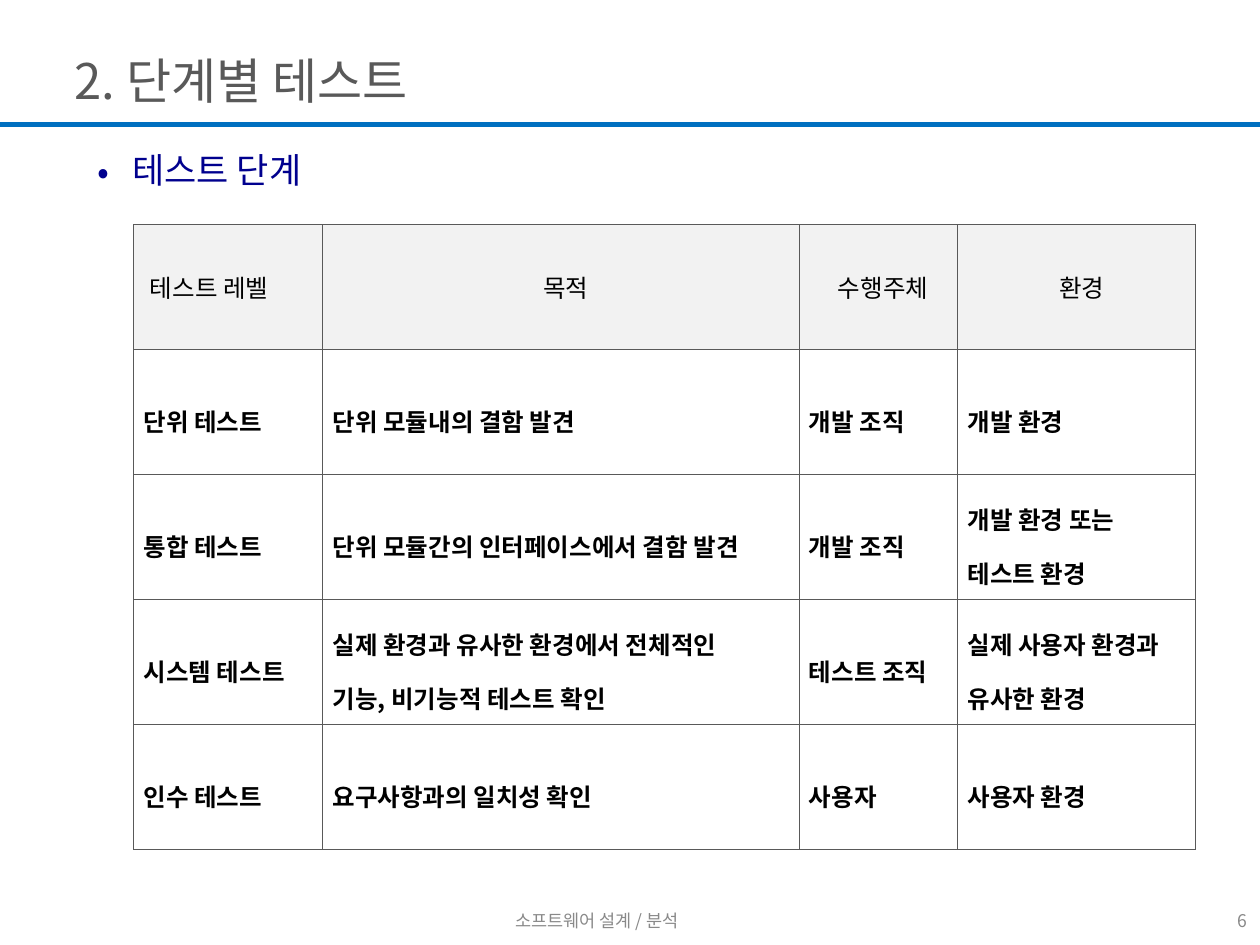
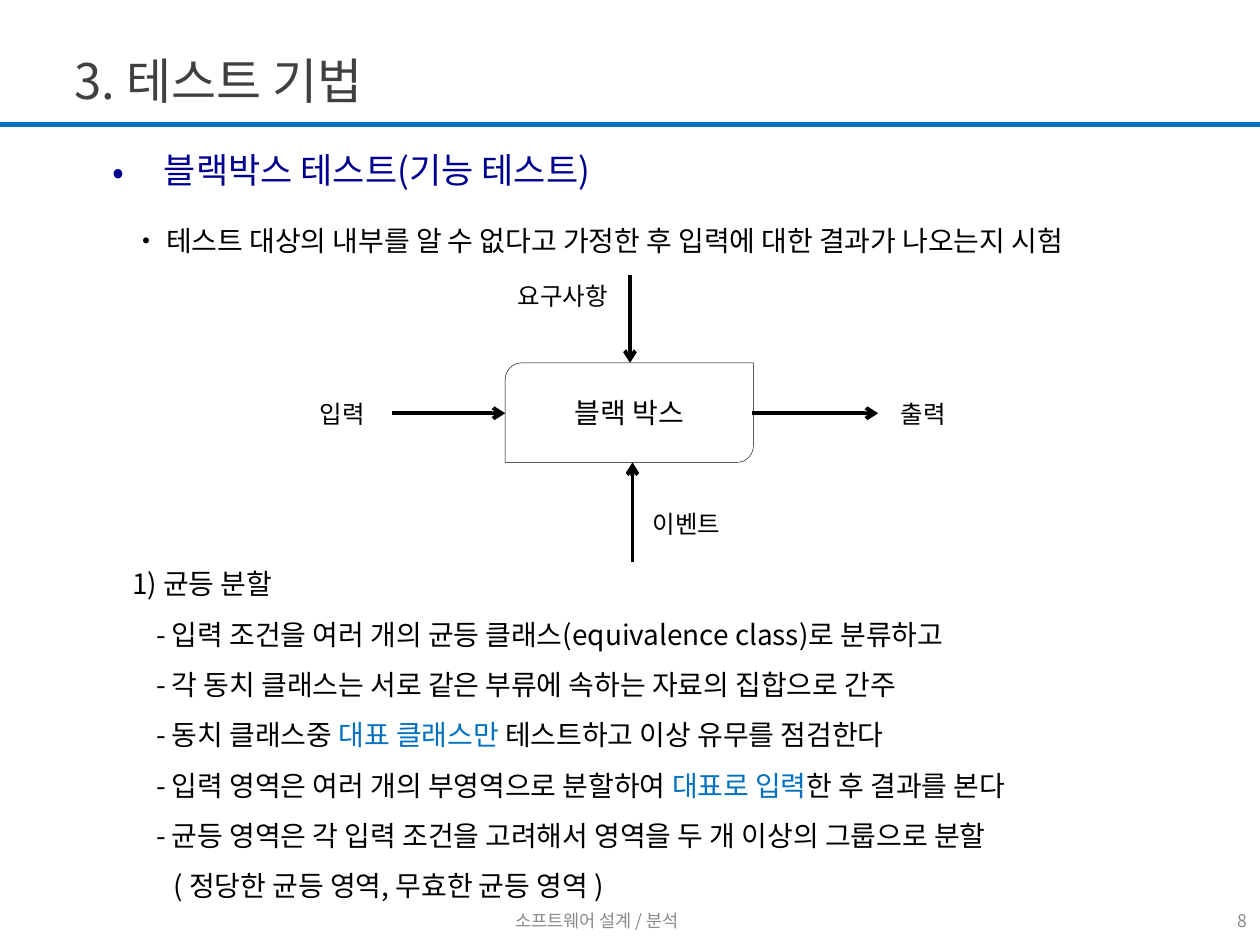
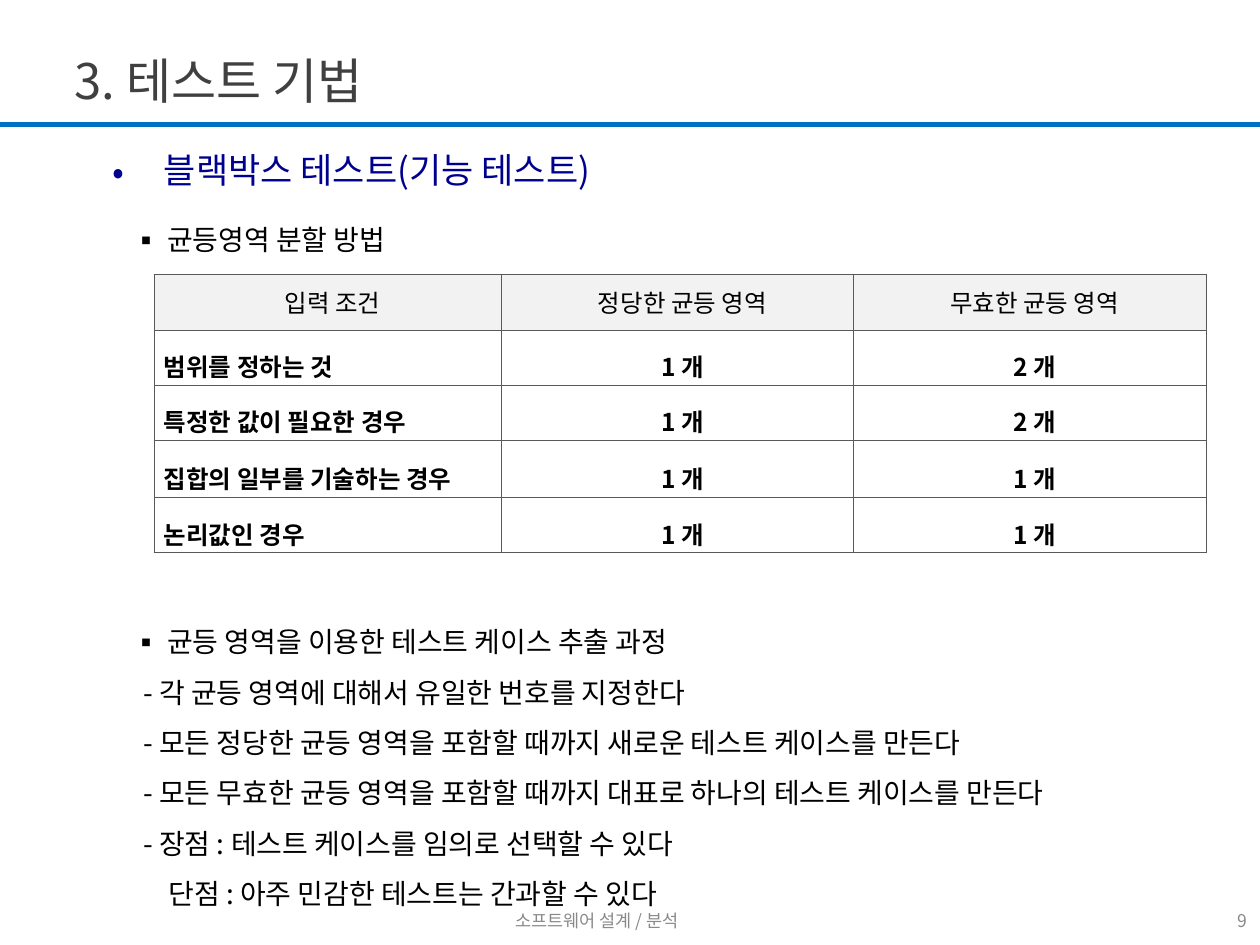
from dataclasses import dataclass
from pptx import Presentation
from pptx.dml.color import RGBColor
from pptx.enum.shapes import MSO_CONNECTOR, MSO_SHAPE
from pptx.enum.text import MSO_ANCHOR, MSO_AUTO_SIZE, PP_ALIGN
from pptx.oxml import parse_xml
from pptx.oxml.ns import nsdecls, qn
from pptx.util import Inches, Pt
from lxml.etree import SubElement


@dataclass(frozen=True)
class Theme:
    font: str = "Noto Sans CJK KR"
    ink: str = "000000"
    navy: str = "00008E"
    blue: str = "0070C0"
    slate: str = "595959"
    dark: str = "404040"
    mute: str = "898989"
    pale: str = "F2F2F2"
    title: int = 28
    head: int = 20
    text: int = 16
    cell: int = 14
    foot: int = 10


T = Theme()
COLS, ROWS = 100, 75          # grid of the slide
UNIT = Inches(10) / COLS
FOOT_ROW = 71.7
LEFT, MID, RIGHT = PP_ALIGN.LEFT, PP_ALIGN.CENTER, PP_ALIGN.RIGHT


def grid(*nums):
    """Grid columns or rows to lengths."""
    return [round(n * UNIT) for n in nums]


def rgb(code):
    return RGBColor.from_string(code)


# Text

def write(par, text, size, color=T.ink, bold=False):
    run = par.add_run()
    run.text = text
    font = run.font
    font.size, font.name, font.bold = Pt(size), T.font, bold
    font.color.rgb = rgb(color)
    SubElement(font._element, qn("a:ea")).set("typeface", T.font)


def inset(par, left, hang=0, mark=None):
    """Left margin and hanging indent in grid columns, with a bullet."""
    prop = par._p.get_or_add_pPr()
    left, hang = grid(left, hang)
    prop.set("marL", str(left))
    prop.set("indent", str(-hang))
    if mark:
        SubElement(prop, qn("a:buFont")).set("typeface", T.font)
        SubElement(prop, qn("a:buChar")).set("char", mark)
    else:
        SubElement(prop, qn("a:buNone"))


def label(slide, text, spot, size=T.cell, color=T.ink, align=LEFT, wrap=False):
    frame = slide.shapes.add_textbox(*grid(*spot)).text_frame
    frame.word_wrap = wrap
    par = frame.paragraphs[0]
    par.alignment = align
    write(par, text, size, color)
    return frame


def notes(slide, spot, lines):
    """A list of (left, hang, mark, gap before, runs), 1.5 lines apart."""
    frame = slide.shapes.add_textbox(*grid(*spot)).text_frame
    frame.word_wrap = True
    frame.vertical_anchor = MSO_ANCHOR.MIDDLE
    for i, (left, hang, mark, gap, runs) in enumerate(lines):
        par = frame.add_paragraph() if i else frame.paragraphs[0]
        par.line_spacing = 1.5
        par.space_before = Pt(gap)
        inset(par, left, hang, mark)
        for text, color in runs:
            write(par, text, T.text, color)


def line(left, *texts, hang=0, mark=None, gap=0):
    """One list line; every second text is stressed."""
    runs = [(t, T.blue if i % 2 else T.ink) for i, t in enumerate(texts)]
    return left, hang, mark, gap, runs


# Placeholders

def fill(holder, spot, anchor):
    holder.left, holder.top, holder.width, holder.height = grid(*spot)
    frame = holder.text_frame
    frame.word_wrap = True
    frame.auto_size = MSO_AUTO_SIZE.NONE
    frame.vertical_anchor = anchor
    par = frame.paragraphs[0]
    par.alignment = LEFT
    par.space_before = Pt(0)
    return par


def page(deck, number, title, color, head, left, hang):
    slide = deck.slides.add_slide(deck.slide_layouts[1])
    par = fill(slide.shapes.title, (4.9, 2.4, 90, 7.9), MSO_ANCHOR.MIDDLE)
    write(par, title, T.title, color)
    par = fill(slide.placeholders[1], (6.7, 11.3, 82.4, 5.5), MSO_ANCHOR.TOP)
    inset(par, left, hang, "•")
    write(par, head, T.head, T.navy)
    label(slide, str(number), (90, FOOT_ROW, 10, 3), T.foot, T.mute, RIGHT, True)
    return slide


# Lines and shapes

def rule(slide, ends, width, color=T.ink, head=False):
    link = slide.shapes.add_connector(MSO_CONNECTOR.STRAIGHT, *grid(*ends))
    link.line.width = Pt(width)
    link.line.color.rgb = rgb(color)
    if head:
        SubElement(link.line._get_or_add_ln(), qn("a:tailEnd")).set("type", "arrow")
    SubElement(link.element.spPr, qn("a:effectLst"))
    return link


def block(slide, text, spot):
    box = slide.shapes.add_shape(MSO_SHAPE.ROUND_2_DIAG_RECTANGLE, *grid(*spot))
    box.shadow.inherit = False
    box.fill.background()
    box.line.color.rgb = rgb(T.ink)
    box.line.width = Pt(0.25)
    frame = box.text_frame
    frame.vertical_anchor = MSO_ANCHOR.MIDDLE
    frame.paragraphs[0].alignment = MID
    write(frame.paragraphs[0], text, T.text)


# Tables

def edge(cell):
    prop = cell._tc.get_or_add_tcPr()
    for i, side in enumerate(("lnL", "lnR", "lnT", "lnB")):
        prop.insert(i, parse_xml(
            f'<a:{side} {nsdecls("a")} w="3175"><a:solidFill>'
            f'<a:srgbClr val="{T.slate}"/></a:solidFill></a:{side}>'))


def table(slide, left, top, wide, high, rows, aligns):
    spot = grid(left, top, sum(wide), sum(high))
    grill = slide.shapes.add_table(len(high), len(wide), *spot).table
    grill.first_row = grill.horz_banding = False
    for col, size in zip(grill.columns, grid(*wide)):
        col.width = size
    for row, size in zip(grill.rows, grid(*high)):
        row.height = size
    for r, row in enumerate(rows):
        for c, text in enumerate(row):
            cell = grill.cell(r, c)
            cell.margin_left = Inches(0.08)
            cell.margin_right = cell.margin_top = cell.margin_bottom = 0
            cell.vertical_anchor = MSO_ANCHOR.MIDDLE
            if r:
                cell.fill.background()
            else:
                cell.fill.solid()
                cell.fill.fore_color.rgb = rgb(T.pale)
            edge(cell)
            for i, part in enumerate(text.split("\n")):
                frame = cell.text_frame
                par = frame.add_paragraph() if i else frame.paragraphs[0]
                par.alignment = aligns[c] if r else MID
                if r:
                    par.line_spacing = 1.5
                write(par, part, T.cell, bold=r > 0)
    return grill


# Slides

def share(slide):
    """Move the band and footer to the layout that all slides use."""
    band = rule(slide, (0, 9.9, COLS, 9.9), 3, T.blue)
    label(slide, "소프트웨어 설계 / 분석", (32.4, FOOT_ROW, 30, 3),
          T.foot, T.mute, MID, True)
    foot = slide.shapes[-1]
    tree = slide.slide_layout.shapes.element
    for part in (band, foot):
        tree.append(part.element)


def levels(deck):
    slide = page(deck, 6, "2. 단계별 테스트", T.slate, "테스트 단계", 2.8, 2.8)
    share(slide)
    rows = [
        ("테스트 레벨", "목적", "수행주체", "환경"),
        ("단위 테스트", "단위 모듈내의 결함 발견", "개발 조직", "개발 환경"),
        ("통합 테스트", "단위 모듈간의 인터페이스에서 결함 발견", "개발 조직",
         "개발 환경 또는\n테스트 환경"),
        ("시스템 테스트", "실제 환경과 유사한 환경에서 전체적인\n기능, 비기능적 테스트 확인",
         "테스트 조직", "실제 사용자 환경과\n유사한 환경"),
        ("인수 테스트", "요구사항과의 일치성 확인", "사용자", "사용자 환경"),
    ]
    grill = table(slide, 10.6, 17.8, (15, 37.8, 12.6, 18.9), [9.92] * 5,
                  rows, [LEFT] * 4)
    first = grill.cell(0, 0).text_frame.paragraphs[0]
    first.alignment = LEFT
    inset(first, 0.5)


def black(deck, number):
    return page(deck, number, "3. 테스트 기법", T.dark,
                "블랙박스 테스트(기능 테스트)", 5.3, 4.1)


def flow(deck):
    slide = black(deck, 8)
    notes(slide, (9.5, 15.9, 87, 5), [
        line(0, "• 테스트 대상의 내부를 알 수 없다고 가정한 후 입력에 대한 결과가 나오는지 시험")])
    # Box with its four arrows
    block(slide, "블랙 박스", (40.1, 28.8, 19.7, 7.9))
    for ends in ((31.1, 32.8, 40.1, 32.8), (59.7, 32.8, 69.7, 32.8),
                 (50, 21.8, 50, 28.8), (50.2, 44.6, 50.2, 36.7)):
        rule(slide, ends, 2.25, head=True)
    for text, x, y, w in (("요구사항", 40.1, 21.8, 9.9), ("이벤트", 50.8, 39.9, 7.9),
                          ("입력", 24.4, 31.2, 5.9), ("출력", 70.5, 31.2, 6)):
        label(slide, text, (x, y, w, 3.4))
    notes(slide, (9.5, 43, 87, 29.3), [
        line(0, "1) 균등 분할"),
        line(1.9, "- 입력 조건을 여러 개의 균등 클래스(equivalence class)로 분류하고"),
        line(1.9, "- 각 동치 클래스는 서로 같은 부류에 속하는 자료의 집합으로 간주"),
        line(1.9, "- 동치 클래스중 ", "대표 클래스만 ", "테스트하고 이상 유무를 점검한다"),
        line(1.9, "- 입력 영역은 여러 개의 부영역으로 분할하여 ", "대표로 입력",
             "한 후 결과를 본다"),
        line(1.9, "- 균등 영역은 각 입력 조건을 고려해서 영역을 두 개 이상의 그룹으로 분할"),
        line(3.3, "( 정당한 균등 영역, 무효한 균등 영역 )"),
    ])


def split(deck):
    slide = black(deck, 9)
    notes(slide, (9.5, 15.5, 87, 57.6), [
        line(2.8, "균등영역 분할 방법", hang=2.8, mark="▪"),
        line(2.8, "균등 영역을 이용한 테스트 케이스 추출 과정", hang=2.8, mark="▪", gap=201),
        line(0.9, "- 각 균등 영역에 대해서 유일한 번호를 지정한다"),
        line(0.9, "- 모든 정당한 균등 영역을 포함할 때까지 새로운 테스트 케이스를 만든다"),
        line(0.9, "- 모든 무효한 균등 영역을 포함할 때까지 대표로 하나의 테스트 케이스를 만든다"),
        line(0.9, "- 장점 : 테스트 케이스를 임의로 선택할 수 있다"),
        line(2.9, "단점 : 아주 민감한 테스트는 간과할 수 있다"),
    ])
    rows = [
        ("입력 조건", "정당한 균등 영역", "무효한 균등 영역"),
        ("범위를 정하는 것", "1 개", "2 개"),
        ("특정한 값이 필요한 경우", "1 개", "2 개"),
        ("집합의 일부를 기술하는 경우", "1 개", "1 개"),
        ("논리값인 경우", "1 개", "1 개"),
    ]
    table(slide, 12.2, 21.8, (27.6, 27.95, 27.95), (4.37, 4.37, 4.37, 4.6, 4.37),
          rows, (LEFT, MID, MID))


def main():
    deck = Presentation()
    deck.slide_width, deck.slide_height = grid(COLS, ROWS)
    levels(deck)
    flow(deck)
    split(deck)
    deck.save("out.pptx")


main()
